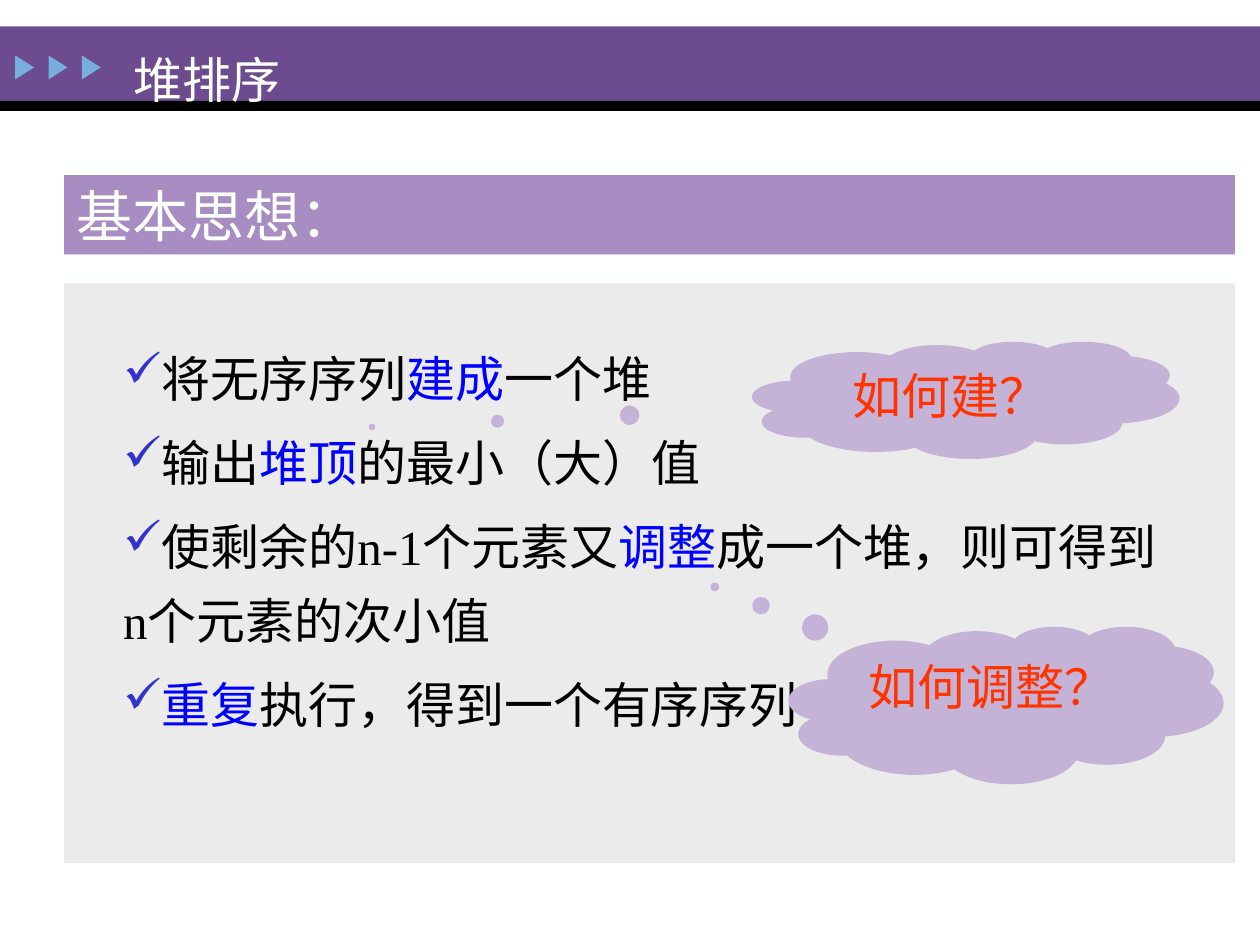
from lxml import etree
from pptx import Presentation
from pptx.dml.color import RGBColor
from pptx.enum.lang import MSO_LANGUAGE_ID as Lang
from pptx.enum.shapes import MSO_SHAPE as Shape
from pptx.enum.text import MSO_ANCHOR as Anchor, PP_ALIGN as Align
from pptx.oxml.ns import qn
from pptx.util import Inches, Pt

FONT = "Times New Roman"
WHITE, BLACK, BLUE, RED = "FEFFFF", "000000", "0000FF", "FF3300"
PURPLE, LILAC, CLOUD = "6C4C8F", "A78DC2", "C4B3D7"
LEFT, WIDE = 0.51, 9.29

# Text between asterisks is highlighted
STEPS = [
    "将无序序列*建成*一个堆",
    "输出*堆顶*的最小（大）值",
    "使剩余的n-1个元素又*调整*成一个堆，则可得到n个元素的次小值",
    "*重复*执行，得到一个有序序列",
]


def rgb(code):
    return RGBColor.from_string(code)


def place(item, box):
    item.left, item.top, item.width, item.height = map(Inches, box)


def add_check(para, color):
    props = para._p.get_or_add_pPr()
    props.set("marL", "0")
    props.set("indent", "0")
    tint = etree.SubElement(props, qn("a:buClr"))
    etree.SubElement(tint, qn("a:srgbClr"), val=color)
    etree.SubElement(props, qn("a:buChar"), char="✓")


def write(item, lines, size=28, color=BLACK, align=Align.LEFT,
          anchor=Anchor.TOP, leading=None, gap=0, check=None):
    frame = item.text_frame
    frame.word_wrap = True
    frame.vertical_anchor = anchor
    for i, line in enumerate(lines):
        para = frame.add_paragraph() if i else frame.paragraphs[0]
        para.alignment = align
        if leading:
            para.line_spacing = leading
        para.space_before = Pt(gap if i else 0)
        if check:
            add_check(para, check)
        for j, part in enumerate(line.split("*")):
            if not part:
                continue
            run = para.add_run()
            run.text = part
            font = run.font
            font.name, font.size = FONT, Pt(size)
            font.language_id = Lang.SIMPLIFIED_CHINESE
            font.color.rgb = rgb(BLUE if j % 2 else color)


def add_form(slide, kind, box, fill):
    form = slide.shapes.add_shape(kind, *map(Inches, box))
    form.shadow.inherit = False
    form.fill.solid()
    form.fill.fore_color.rgb = rgb(fill)
    form.line.fill.background()
    return form


def add_cloud(slide, box, tail, text):
    cloud = add_form(slide, Shape.CLOUD_CALLOUT, box, CLOUD)
    cloud.adjustments[0], cloud.adjustments[1] = tail
    write(cloud, [text], color=RED, align=Align.CENTER)


def add_header(slide, text):
    # Bands and arrows
    add_form(slide, Shape.RECTANGLE, (0, 0.21, 10, 0.59), PURPLE)
    add_form(slide, Shape.RECTANGLE, (0, 0.8, 10, 0.08), BLACK)
    for i in range(3):
        box = (0.1 + i * 0.265, 0.46, 0.19, 0.15)
        arrow = add_form(slide, Shape.ISOSCELES_TRIANGLE, box, "76AEDD")
        arrow.rotation = 90

    # Title, raised above the bands
    title = slide.shapes.title
    place(title, (0.96, 0.23, 1.92, 0.58))
    write(title, [text], color=WHITE, leading=1.25)
    slide.shapes._spTree.append(title._element)


def main():
    deck = Presentation()
    deck.slide_width, deck.slide_height = Inches(10), Inches(7.5)
    slide = deck.slides.add_slide(deck.slide_layouts[5])
    back = slide.background.fill
    back.solid()
    back.fore_color.rgb = rgb(WHITE)

    add_header(slide, "堆排序")

    # Panel with the steps
    add_form(slide, Shape.RECTANGLE, (LEFT, 2.25, WIDE, 4.6), "EBEBEB")
    steps = slide.shapes.add_textbox(*map(Inches, (0.88, 2.6, 8.56, 3.28)))
    write(steps, STEPS, leading=1.25, gap=6, check="3333CC")

    # Section heading
    head = add_form(slide, Shape.RECTANGLE, (LEFT, 1.39, WIDE, 0.63), LILAC)
    write(head, ["基本思想："], size=32, color=WHITE, anchor=Anchor.MIDDLE)

    # Questions
    add_cloud(slide, (5.97, 2.71, 3.39, 0.93), (-1.39, 0.23), "如何建？")
    add_cloud(slide, (6.26, 4.97, 3.45, 1.25), (-0.67, -0.75), "如何调整？")

    deck.save("out.pptx")


if __name__ == "__main__":
    main()
